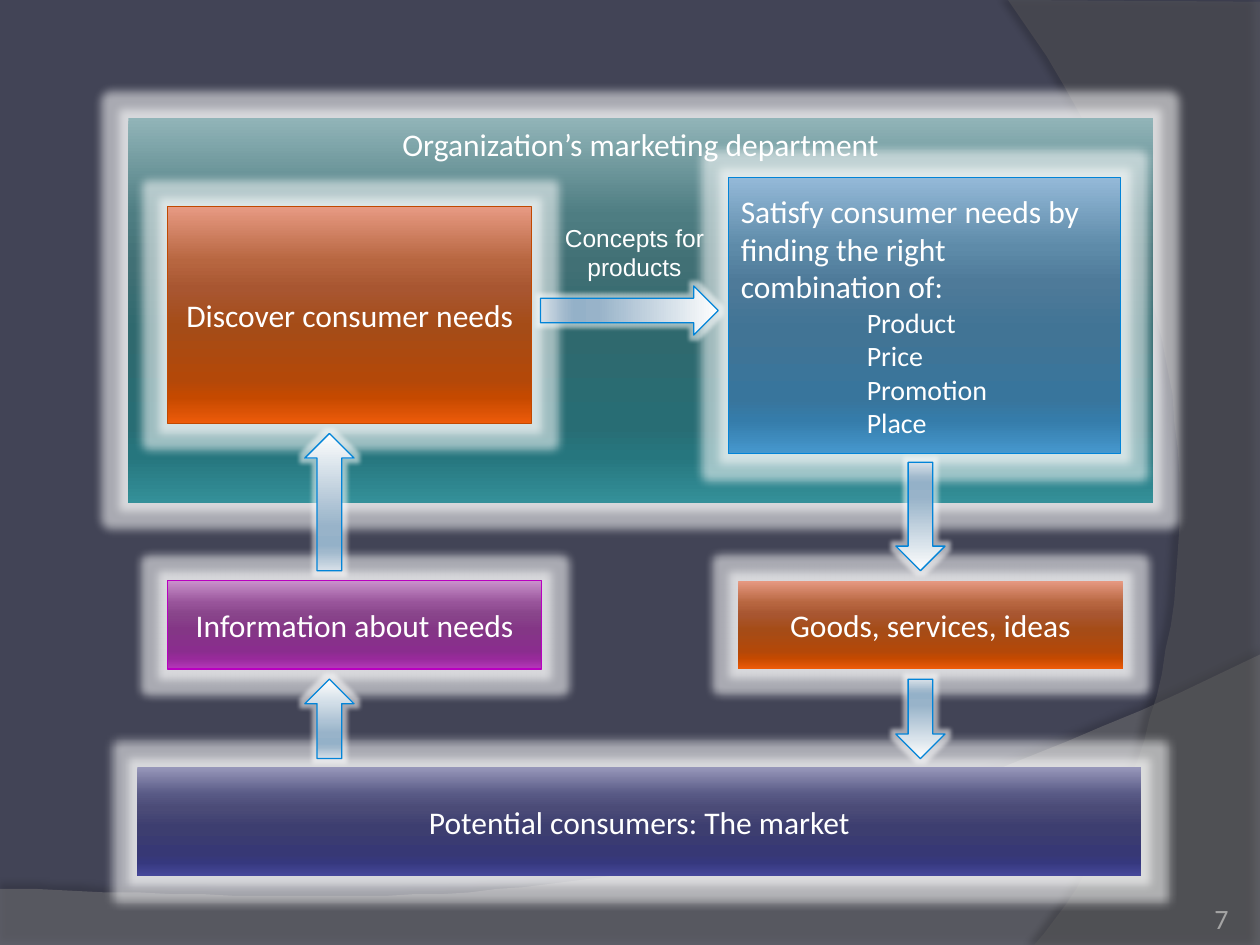
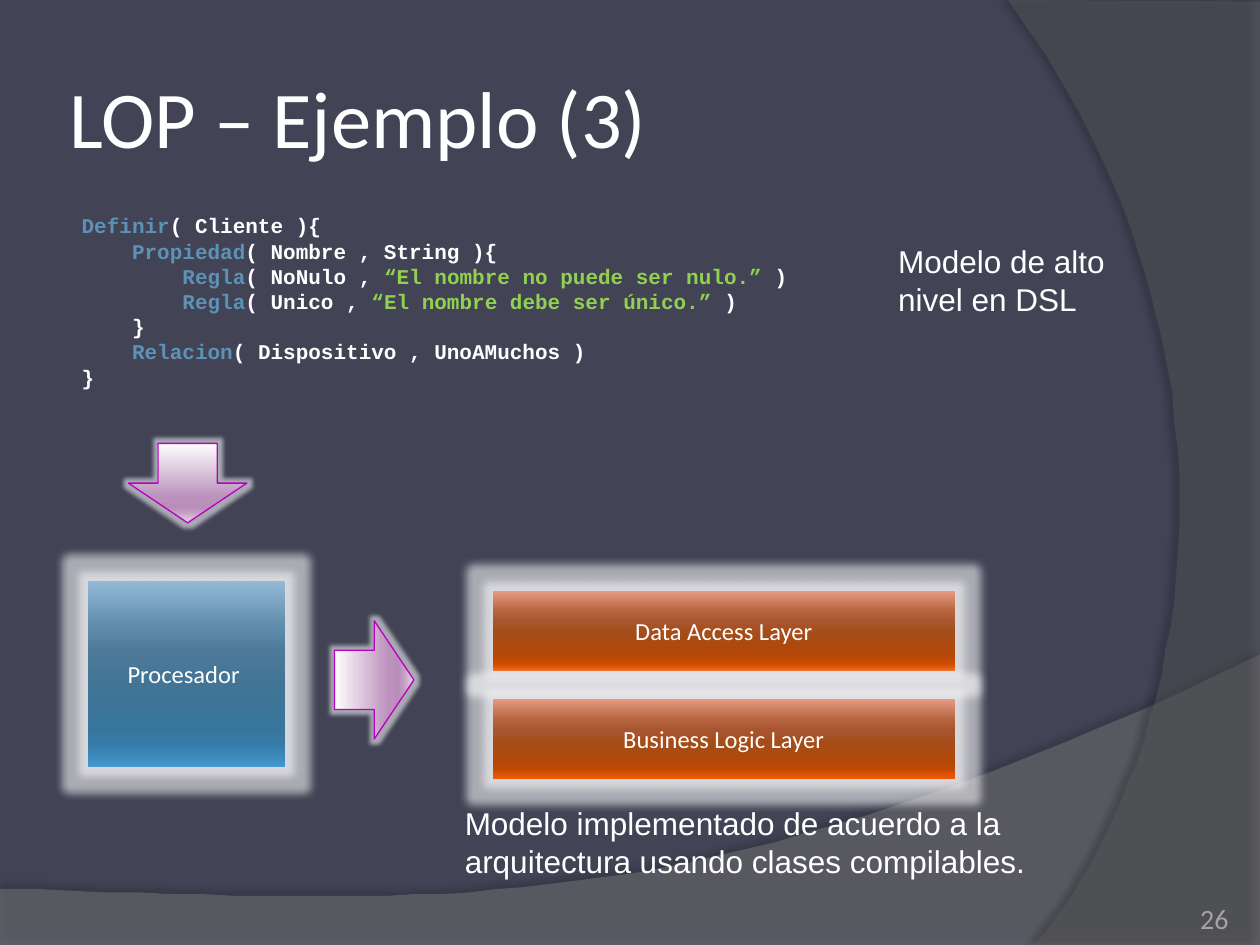
from dataclasses import dataclass

from lxml import etree
from pptx import Presentation
from pptx.dml.color import RGBColor
from pptx.enum.shapes import MSO_SHAPE
from pptx.enum.text import MSO_ANCHOR, MSO_AUTO_SIZE, PP_ALIGN
from pptx.oxml.ns import qn
from pptx.util import Pt

RECT, UP, DOWN = MSO_SHAPE.RECTANGLE, MSO_SHAPE.UP_ARROW, MSO_SHAPE.DOWN_ARROW
LEFT, CENTER, RIGHT = PP_ALIGN.LEFT, PP_ALIGN.CENTER, PP_ALIGN.RIGHT
TOP, MIDDLE, BOTTOM = MSO_ANCHOR.TOP, MSO_ANCHOR.MIDDLE, MSO_ANCHOR.BOTTOM
FIXED = MSO_AUTO_SIZE.NONE


@dataclass(frozen=True)
class Theme:
    back: str = "424456"
    text: str = "FFFFFF"
    muted: str = "A4A4A4"
    word: str = "5C92B5"
    quote: str = "92D050"
    wave: str = "7F7F7F"
    arc: str = "5E5E5E"
    shade: str = "000000"
    blue_line: str = "0284D8"
    rust_line: str = "C14800"
    plum_line: str = "B900C0"
    body: str = "Calibri"
    plain: str = "Arial"
    mono: str = "Courier New"
    title: int = 46
    large: int = 18
    list: int = 16
    small: int = 14
    code: int = 12
    # Gradient colours, top to bottom
    teal: tuple = ("91B4B8", "4E7D82", "417075", "2F696E", "286D74", "26767E", "349099")
    rust: tuple = ("E79A83", "B76640", "A85631", "A54C17", "B34809", "C54900", "ED5B09")
    blue: tuple = ("94B9D8", "5E8BA9", "4E7A99", "417495", "38759C", "357CAA", "4698CE")
    plum: tuple = ("C991CB", "98549A", "89458B", "843686", "8A2D8E", "972A9A", "B638BB")
    navy: tuple = ("9797BA", "585985", "4B4B77", "3D3E70", "373875", "36387E", "46489A")
    ice: tuple = ("FEFEFE", "98B3C9", "94B1C8", "A0B8CC", "D8E1E9")
    lilac: tuple = ("FEFEFE", "BC92BD", "B98EBB", "C09BC2", "E4D7E4")


T = Theme()
STOPS = {7: (0, 25, 38, 55, 80, 88, 100), 5: (0, 68, 81, 86, 100)}


def rgb(code):
    return RGBColor.from_string(code)


def area(left, top, width, height):
    return Pt(left), Pt(top), Pt(width), Pt(height)


# Fills and effects
def tint(parent, color, alpha=100):
    node = etree.SubElement(parent, qn("a:srgbClr"), val=color)
    if alpha < 100:
        etree.SubElement(node, qn("a:alpha"), val=str(alpha * 1000))
    return node


def shade(shape, colors):
    shape.fill.gradient()
    shape.fill.gradient_angle = 270
    stops = shape.element.spPr.find(".//" + qn("a:gsLst"))
    for stop in list(stops):
        stops.remove(stop)
    for pos, color in zip(STOPS[len(colors)], colors):
        tint(etree.SubElement(stops, qn("a:gs"), pos=str(pos * 1000)), color)


def effect(shape, kind, color, alpha, **sizes):
    shape.shadow.inherit = False
    group = shape.element.spPr.find(qn("a:effectLst"))
    sizes = {key: str(int(size)) for key, size in sizes.items()}
    tint(etree.SubElement(group, qn("a:" + kind), **sizes), color, alpha)


# Text
def style(frame, size, font=T.body, color=T.text, align=LEFT):
    for para in frame.paragraphs:
        para.alignment = align
        for run in para.runs:
            run.font.size, run.font.name = Pt(size), font
            run.font.color.rgb = rgb(color)


def indent(para, width):
    props = para._p.get_or_add_pPr()
    props.set("marL", str(int(Pt(width))))
    props.set("indent", "0")


def pad(frame, size):
    frame.margin_left = frame.margin_right = Pt(size)
    frame.margin_top = frame.margin_bottom = Pt(size)


def label(slide, text, box, size=T.large, align=LEFT, wrap=True):
    frame = slide.shapes.add_textbox(*area(*box)).text_frame
    frame.word_wrap = wrap
    frame.text = text
    style(frame, size, T.plain, align=align)


def number(slide, text):
    frame = slide.shapes.add_textbox(*area(642.2, 505.4, 59.8, 28.8)).text_frame
    frame.word_wrap = True
    pad(frame, 0)
    frame.vertical_anchor = BOTTOM
    frame.text = text
    style(frame, T.list, color=T.muted, align=RIGHT)


def heading(slide, text):
    title = slide.shapes.title
    title.left, title.top, title.width, title.height = area(36, 21.6, 588.2, 90)
    frame = title.text_frame
    frame.auto_size = FIXED
    frame.vertical_anchor = MIDDLE
    pad(frame, 3.6)
    frame.text = text
    style(frame, T.title)


def source(slide, lines, box):
    frame = slide.shapes.add_textbox(*area(*box)).text_frame
    frame.word_wrap = True
    for row, (level, parts) in enumerate(lines):
        para = frame.paragraphs[0] if row == 0 else frame.add_paragraph()
        indent(para, level * 28.8)
        for text, color in parts:
            run = para.add_run()
            run.text = text
            run.font.size, run.font.name, run.font.bold = Pt(T.code), T.mono, True
            run.font.color.rgb = rgb(color)


# Glowing blocks and arrows
def glow(slide, kind, box, colors, line, radius):
    shape = slide.shapes.add_shape(kind, *area(*box))
    shade(shape, colors)
    if line:
        shape.line.color.rgb = rgb(line)
        shape.line.width = Pt(0.75)
    else:
        shape.line.fill.background()
    effect(shape, "glow", T.text, 55, rad=Pt(radius))
    return shape


def block(slide, text, box, colors, line=None, size=T.large, align=CENTER, anchor=MIDDLE):
    frame = glow(slide, RECT, box, colors, line, 10).text_frame
    frame.word_wrap = True
    frame.vertical_anchor = anchor
    frame.text = text
    style(frame, size, align=align)
    return frame


def arrow(slide, kind, box, colors, line, turn=0):
    glow(slide, kind, box, colors, line, 5).rotation = turn


# Shared backdrop
def curve(start, first, second, end, steps=40):
    points = []
    for step in range(1, steps + 1):
        t = step / steps
        u = 1 - t
        points.append(tuple(u**3 * a + 3 * u * u * t * b + 3 * u * t * t * c + t**3 * d
                            for a, b, c, d in zip(start, first, second, end)))
    return points


def sweep(slide, master, points, color, alpha, dark, angle):
    build = slide.shapes.build_freeform(*points[0], scale=Pt(1))
    build.add_line_segments(points[1:], close=True)
    shape = build.convert_to_shape()
    shape.fill.solid()
    shape.fill.fore_color.rgb = rgb(color)
    node = shape.element.spPr.find(qn("a:solidFill"))[0]
    etree.SubElement(node, qn("a:alpha"), val=str(alpha * 1000))
    shape.line.fill.background()
    effect(shape, "outerShdw", T.shade, dark, blurRad=Pt(4), dist=Pt(4), dir=angle * 60000)
    return shape.element


def backdrop(slide, master):
    master.background.fill.solid()
    master.background.fill.fore_color.rgb = rgb(T.back)
    wave = [(0, 507.6), (0, 540.7), (720, 540.7), (720, 374.4)]
    wave += curve(wave[-1], (402.5, 524.9), (281.5, 517.7), wave[0])
    arc = [(720, 1.4), (720, 540), (591.1, 540)]
    arc += curve(arc[-1], (673.2, 445.7), (733, 216), (576, 0))
    tree = master.shapes.element
    tree.insert(2, sweep(slide, master, wave, T.wave, 45, 35, 270))
    tree.insert(3, sweep(slide, master, arc, T.arc, 40, 45, 180))


# Slide 1: marketing flow
def market(slide):
    block(slide, "Organization’s marketing department", (73.4, 67.7, 585.4, 219.6),
          T.teal, anchor=TOP)
    block(slide, "Discover consumer needs", (95.8, 118.1, 208.1, 123.8), T.rust, T.rust_line)
    mix = block(slide, "Satisfy consumer needs by finding the right combination of:\n"
                "Product\nPrice\nPromotion\nPlace",
                (416.2, 101.5, 223.9, 157.7), T.blue, T.blue_line, align=LEFT)
    for para in mix.paragraphs[1:]:
        indent(para, 72)
        para.runs[0].font.size = Pt(T.list)
    block(slide, "Information about needs", (95.8, 331.9, 213.8, 50.4), T.plum, T.plum_line)
    block(slide, "Goods, services, ideas", (421.9, 331.9, 219.6, 50.4), T.rust)
    block(slide, "Potential consumers: The market", (78.5, 438.5, 573.8, 61.9), T.navy)
    for left, top, height, turn in ((174.2, 247.7, 78.5, 0), (174.2, 388.1, 45.4, 0),
                                    (511.9, 388.1, 45.4, 180), (511.9, 264.2, 61.9, 180),
                                    (345.6, 126.7, 101.5, 90)):
        arrow(slide, UP, (left, top, 28.1, height), T.ice, T.blue_line, turn)
    label(slide, "Concepts for\nproducts", (315.4, 123.8, 94.3, 41), T.small, CENTER, False)
    number(slide, "7")


# Slide 2: from model to layers
def example(slide):
    heading(slide, "LOP – Ejemplo (3)")
    number(slide, "26")
    source(slide, (
        (0, (("Definir", T.word), ("( Cliente ){", T.text))),
        (1, (("Propiedad", T.word), ("( Nombre , String ){", T.text))),
        (2, (("Regla", T.word), ("( NoNulo , ", T.text),
             ("“El nombre no puede ser nulo.” ", T.quote), (")", T.text))),
        (2, (("Regla", T.word), ("( Unico , ", T.text),
             ("“El nombre debe ser único.” ", T.quote), (")", T.text))),
        (1, (("}", T.text),)),
        (1, (("Relacion", T.word), ("( Dispositivo , UnoAMuchos )", T.text))),
        (0, (("}", T.text),)),
    ), (39.6, 118.1, 421.9, 108.7))
    label(slide, "Modelo de alto\nnivel en DSL", (506.2, 134.6, 139, 51.1), wrap=False)
    arrow(slide, DOWN, (73.4, 253.4, 67.7, 45.4), T.lilac, T.plum_line)
    block(slide, "Procesador ", (50.4, 331.9, 112.3, 106.6), T.blue, size=T.small)
    arrow(slide, DOWN, (180, 365.8, 67.7, 45.4), T.lilac, T.plum_line, 270)
    for row, name in enumerate(("Data Access Layer", "Business Logic Layer")):
        block(slide, name, (281.5, 337.7 + row * 61.9, 264.2, 45.4), T.rust, size=T.small)
    label(slide, "Modelo implementado de acuerdo a la arquitectura usando clases compilables.",
          (258.5, 455.8, 354.2, 51.1))


def main():
    prs = Presentation()
    prs.slide_width, prs.slide_height = Pt(720), Pt(540)
    only, blank = prs.slide_layouts[5], prs.slide_layouts[6]
    first = prs.slides.add_slide(blank)
    backdrop(first, prs.slide_master)
    market(first)
    example(prs.slides.add_slide(only))
    prs.save("out.pptx")


if __name__ == "__main__":
    main()
